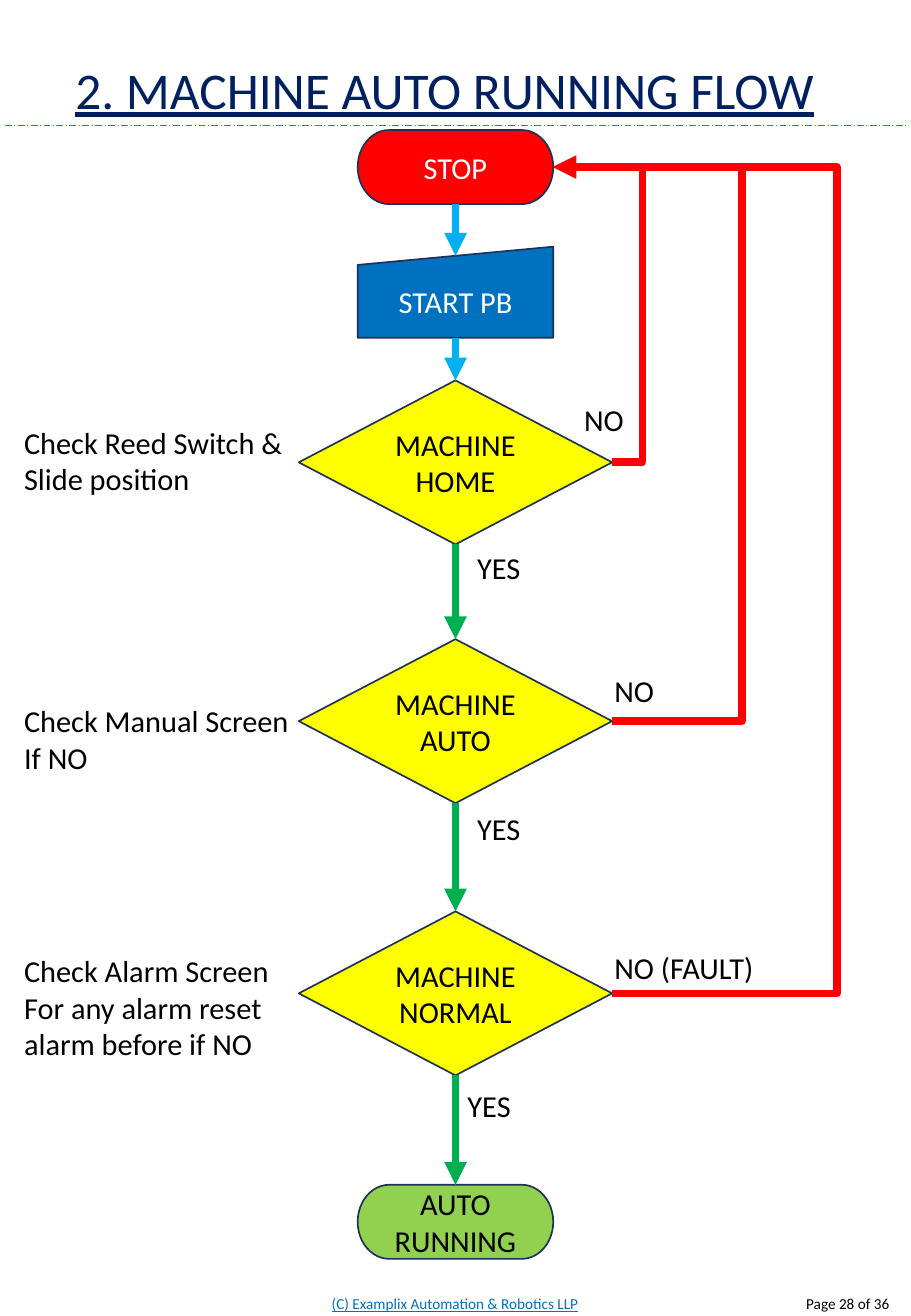
"""Build the machine auto running flowchart slide."""
from itertools import pairwise

from lxml.etree import SubElement
from pptx import Presentation
from pptx.dml.color import RGBColor
from pptx.enum.dml import MSO_LINE
from pptx.enum.shapes import MSO_CONNECTOR, MSO_SHAPE
from pptx.enum.text import MSO_ANCHOR, MSO_AUTO_SIZE, PP_ALIGN
from pptx.oxml.ns import qn
from pptx.util import Inches, Pt

TITLE = "2. MACHINE AUTO RUNNING FLOW"
FONT = "Calibri"
CENTER_X = 3.75
TERMINATOR = MSO_SHAPE.FLOWCHART_TERMINATOR
MANUAL_INPUT = MSO_SHAPE.FLOWCHART_MANUAL_INPUT
DECISION = MSO_SHAPE.FLOWCHART_DECISION
SIZES = {TERMINATOR: (1.61, 0.61), MANUAL_INPUT: (1.61, 0.75), DECISION: (2.58, 1.35)}

STEPS = [
    ("STOP", TERMINATOR, 1.07, "FF0000", "FFFFFF"),
    ("START PB", MANUAL_INPUT, 2.03, "0070C0", "FFFFFF"),
    ("MACHINE HOME", DECISION, 3.13, "FFFF00", "000000"),
    ("MACHINE AUTO", DECISION, 5.26, "FFFF00", "000000"),
    ("MACHINE NORMAL", DECISION, 7.5, "FFFF00", "000000"),
    ("AUTO RUNNING", TERMINATOR, 9.75, "92D050", "000000"),
]
RETURN_LANES = [5.29, 6.11, 6.89]
LABELS = [
    (["YES"], 3.83, 4.47, 0.88, 0.4),
    (["YES"], 3.83, 6.62, 0.88, 0.4),
    (["YES"], 3.75, 8.9, 0.88, 0.4),
    (["NO"], 4.71, 3.25, 0.88, 0.4),
    (["NO"], 4.96, 5.48, 0.88, 0.4),
    (["NO (FAULT)"], 4.96, 7.76, 1.69, 0.4),
    (["Check Reed Switch &", "Slide position"], 0.1, 3.44, 2.43, 0.71),
    (["Check Manual Screen", "If NO"], 0.1, 5.73, 2.43, 0.71),
    (["Check Alarm Screen", "For any alarm reset alarm before if NO"], 0.1, 7.79, 2.43, 1.01),
]
FOOTERS = [
    ("(C) Examplix Automation & Robotics LLP", 2.48, 2.53, PP_ALIGN.CENTER, "0070C0", True),
    ("Page 28 of 36", 6.42, 1, PP_ALIGN.RIGHT, "000000", False),
]


def color(value):
    return RGBColor.from_string(value)


def write(shape, lines, size=18, text_color="000000", align=PP_ALIGN.LEFT,
          anchor=MSO_ANCHOR.TOP, underline=False):
    frame = shape.text_frame
    frame.word_wrap = True
    frame.auto_size = MSO_AUTO_SIZE.NONE
    frame.vertical_anchor = anchor
    for index, line in enumerate(lines):
        paragraph = frame.add_paragraph() if index else frame.paragraphs[0]
        paragraph.alignment = align
        run = paragraph.add_run()
        run.text = line
        run.font.name = FONT
        run.font.size = Pt(size)
        run.font.color.rgb = color(text_color)
        run.font.underline = underline


def add_text(slide, lines, left, top, width, height, **style):
    box = slide.shapes.add_textbox(Inches(left), Inches(top), Inches(width), Inches(height))
    write(box, lines, **style)


def add_step(slide, text, kind, top, fill, text_color):
    width, height = SIZES[kind]
    shape = slide.shapes.add_shape(kind, Inches(CENTER_X - width / 2), Inches(top),
                                   Inches(width), Inches(height))
    shape.shadow.inherit = False
    shape.fill.solid()
    shape.fill.fore_color.rgb = color(fill)
    shape.line.color.rgb = color("1E3256")
    shape.line.width = Pt(1)
    write(shape, [text], text_color=text_color, align=PP_ALIGN.CENTER, anchor=MSO_ANCHOR.MIDDLE)
    return shape


def add_line(slide, kind, points, line_color, width, arrow=True):
    connector = slide.shapes.add_connector(kind, *points)
    connector.line.color.rgb = color(line_color)
    connector.line.width = Pt(width)
    properties = connector._element.spPr
    if arrow:
        SubElement(properties.find(qn("a:ln")), qn("a:tailEnd"), type="triangle")
    SubElement(properties, qn("a:effectLst"))
    return connector


def add_down_arrow(slide, upper, lower, line_color):
    center = Inches(CENTER_X)
    points = (center, upper.top + upper.height, center, lower.top)
    arrow = add_line(slide, MSO_CONNECTOR.STRAIGHT, points, line_color, 4.5)
    arrow.begin_connect(upper, 2)
    arrow.end_connect(lower, 0)
    if lower.auto_shape_type == MANUAL_INPUT:
        arrow.end_y = lower.top + lower.height // 10


def add_return(slide, decision, stop, lane):
    start_x = decision.left + decision.width
    end_x = stop.left + stop.width
    points = (start_x, decision.top + decision.height // 2, end_x, stop.top + stop.height // 2)
    connector = add_line(slide, MSO_CONNECTOR.ELBOW, points, "FF0000", 4.5)
    bend = round(100000 * (start_x - Inches(lane)) / (start_x - end_x))
    guides = connector._element.spPr.find(qn("a:prstGeom")).get_or_add_avLst()
    SubElement(guides, qn("a:gd"), name="adj1", fmla=f"val {bend}")


def main():
    presentation = Presentation()
    presentation.slide_width = Inches(7.5)
    presentation.slide_height = Inches(10.83)
    slide = presentation.slides.add_slide(presentation.slide_layouts[5])

    rule_points = [Inches(value) for value in (0.04, 1.03, 7.46, 1.03)]
    rule = add_line(slide, MSO_CONNECTOR.STRAIGHT, rule_points, "4472C4", 0.5, arrow=False)
    rule.line.dash_style = MSO_LINE.LONG_DASH_DOT

    title = slide.shapes.title
    title.left, title.top = Inches(0.52), Inches(0.46)
    title.width, title.height = Inches(6.47), Inches(0.61)
    write(title, [TITLE], 30.5, "002060", anchor=MSO_ANCHOR.MIDDLE, underline=True)
    title.text_frame.paragraphs[0].line_spacing = 0.9

    steps = [add_step(slide, *step) for step in STEPS]
    decisions = [shape for shape in steps if shape.auto_shape_type == DECISION]
    for upper, lower in pairwise(steps):
        add_down_arrow(slide, upper, lower, "00B050" if upper in decisions else "00B0F0")
    for decision, lane in zip(decisions, RETURN_LANES):
        add_return(slide, decision, steps[0], lane)

    for label in LABELS:
        add_text(slide, *label)
    for text, left, width, align, text_color, underline in FOOTERS:
        add_text(slide, [text], left, 10.62, width, 0.22, size=9, text_color=text_color,
                 align=align, anchor=MSO_ANCHOR.MIDDLE, underline=underline)

    presentation.save("out.pptx")


if __name__ == "__main__":
    main()
